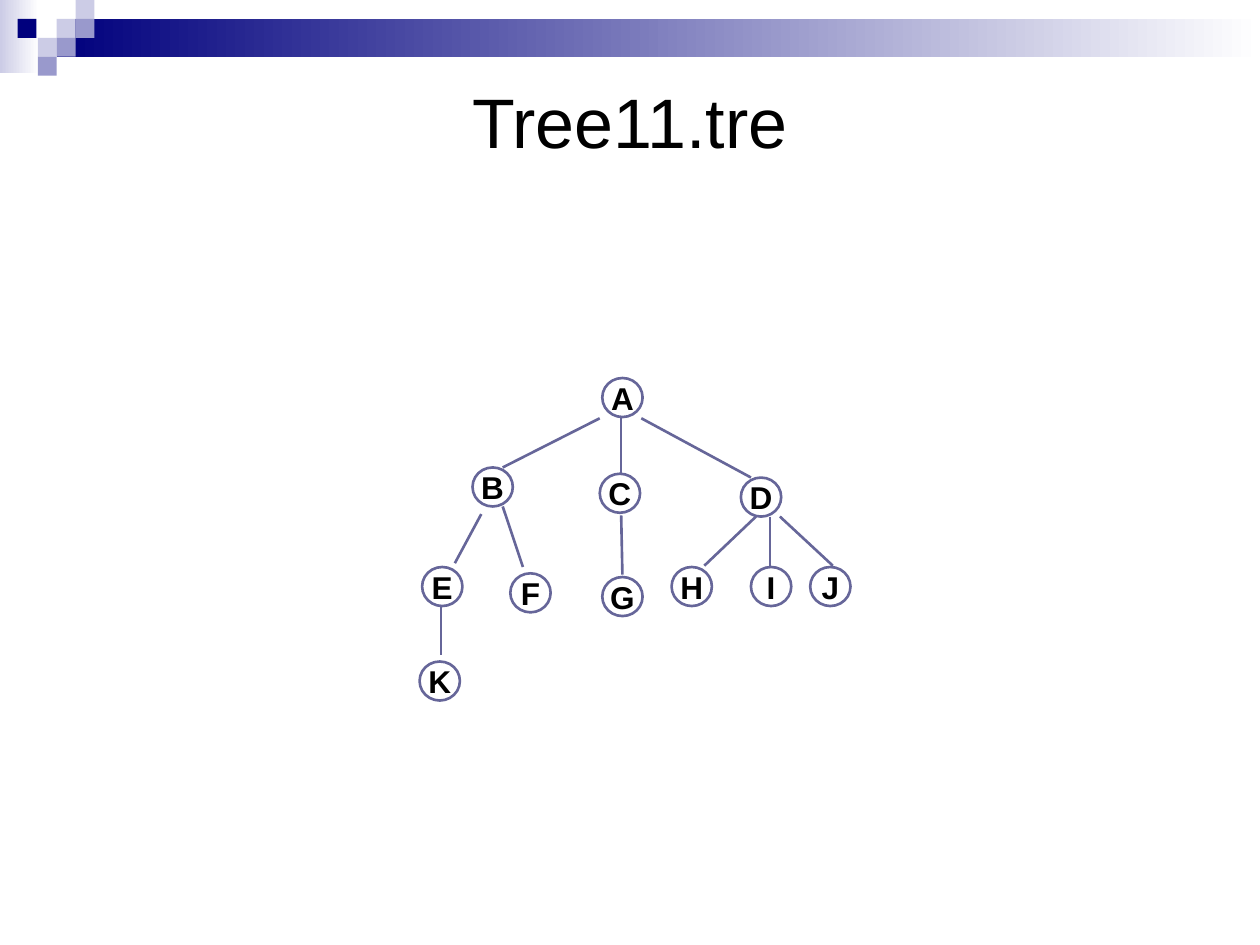
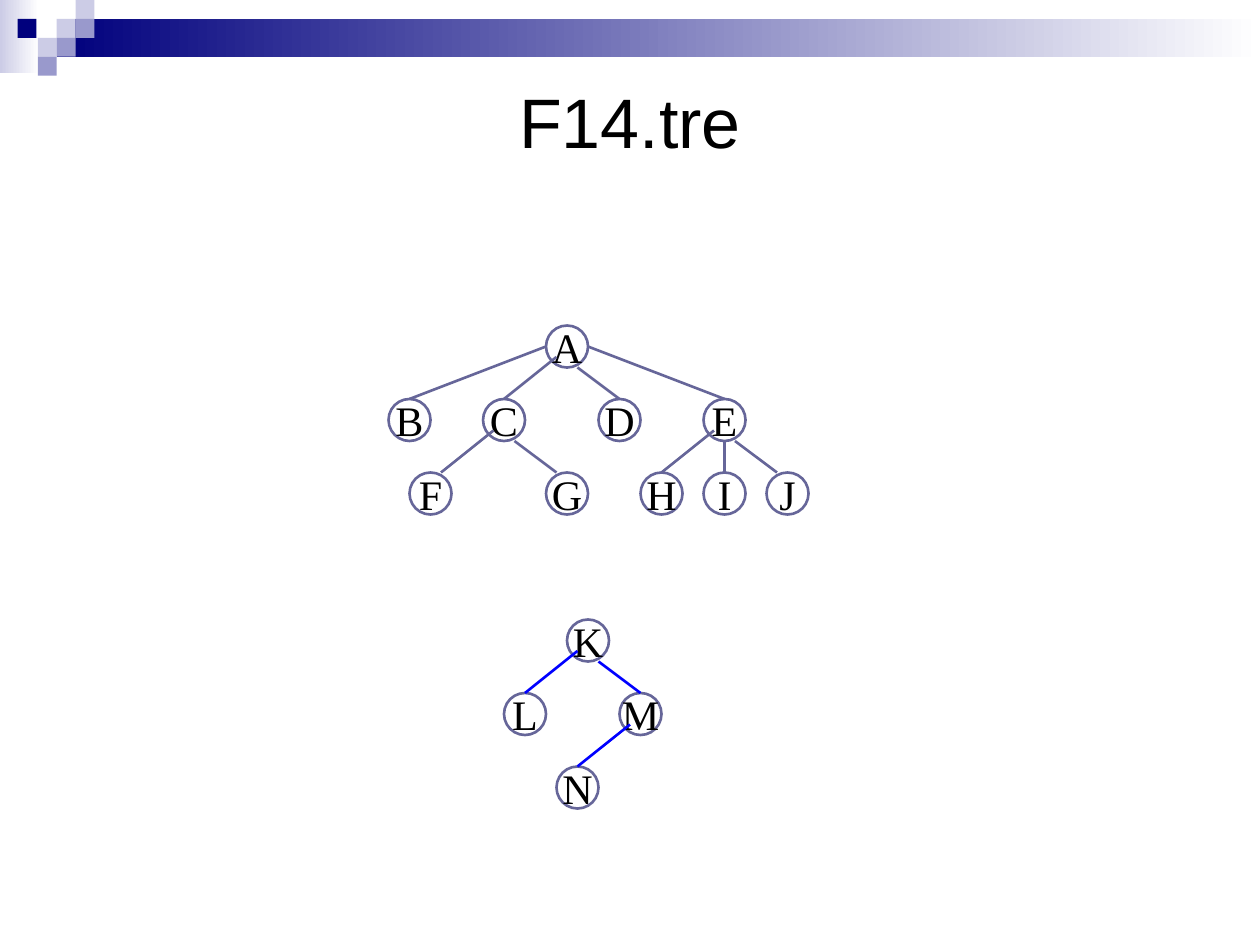
from lxml import etree
from pptx import Presentation
from pptx.dml.color import RGBColor
from pptx.enum import shapes, text
from pptx.oxml.ns import qn
from pptx.util import Inches, Pt

COLORS = {"navy": "00007D", "lilac": "9999CC", "pale": "CCCCE6", "white": "FFFFFF",
          "black": "000000", "outline": "666699", "blue": "0000FF"}
WIDTH, HEIGHT = 10, 7.5
CELL = 0.15
BANDS = [("pale", 0, 0, 0.31, 0.58), ("navy", 3 * CELL, CELL, WIDTH - 3 * CELL, 2 * CELL)]
SQUARES = [("pale", 3, 1), ("pale", 4, 0), ("lilac", 4, 1), ("pale", 2, 2),
           ("navy", 0.93, 1), ("lilac", 3, 2), ("lilac", 2, 3)]

TITLE_FONT = {"name": "Arial", "size": Pt(40), "bold": False}
ARIAL_NODE = {"name": "Arial", "size": Pt(18), "bold": True}
TIMES_NODE = {"name": "Times New Roman", "size": Pt(24), "bold": False}

LEFT_SIDE, RIGHT_SIDE = (0, 2), (4, 2)
LOWER_LEFT, LOWER_RIGHT, BOTTOM = (1, 3), (3, 4), (2, 4)
TOP, TOP_LEFT, TOP_RIGHT = (2, 0), (1, 0), (3, 0)

TREE11 = {
    "unit": 0.01, "size": (32, 31), "font": ARIAL_NODE, "line": "outline", "edges_behind": True,
    "nodes": {"A": (478, 300), "B": (375, 371), "C": (476, 376), "G": (478, 458),
              "F": (405, 455), "E": (335, 450), "H": (533, 450), "I": (596, 450),
              "J": (643, 450), "K": (333, 525), "D": (588, 379)},
    "edges": [("A", "B", (-2, 32), (24, 0)), ("A", "D", (31, 32), (8, 0)),
              ("A", "C", (15, 32), (17, 11)), ("C", "G", (17, 33), (16, -2)),
              ("E", "K", (15, 31), (17, -5)), ("D", "I", (23, 31), (15, -1)),
              ("B", "F", (24, 31), (10, -5)), ("B", "E", (7, 37), (26, -3)),
              ("D", "J", (31, 31), (18, -1)), ("D", "H", (12, 31), (26, -1))],
}
F14_STYLE = {"unit": 1 / 12, "size": (4, 4), "font": TIMES_NODE, "edges_behind": False}
F14_UPPER = {
    **F14_STYLE, "line": "outline",
    "nodes": {"A": (52, 31), "B": (37, 38), "D": (57, 38), "C": (46, 38), "F": (39, 45),
              "E": (67, 38), "G": (52, 45), "H": (61, 45), "I": (67, 45), "J": (73, 45)},
    "edges": [("A", "B", LEFT_SIDE, TOP), ("A", "E", RIGHT_SIDE, TOP),
              ("A", "C", LOWER_LEFT, TOP), ("A", "D", LOWER_RIGHT, TOP),
              ("C", "F", LOWER_LEFT, TOP_RIGHT), ("C", "G", LOWER_RIGHT, TOP_LEFT),
              ("E", "H", LOWER_LEFT, TOP), ("E", "J", LOWER_RIGHT, TOP_LEFT),
              ("E", "I", BOTTOM, TOP)],
}
F14_LOWER = {
    **F14_STYLE, "line": "blue",
    "nodes": {"K": (54, 59), "M": (59, 66), "L": (48, 66), "N": (53, 73)},
    "edges": [("K", "L", LOWER_LEFT, TOP), ("K", "M", LOWER_RIGHT, TOP),
              ("M", "N", LOWER_LEFT, TOP)],
}
SLIDES = [("Tree11.tre", [TREE11]), ("F14.tre", [F14_UPPER, F14_LOWER])]


def rgb(name):
    return RGBColor.from_string(COLORS[name])


def add_block(parent, kind, box, fill):
    sp = parent.add_shape(kind, *map(Inches, box))
    sp.shadow.inherit = False
    sp.fill.solid()
    sp.fill.fore_color.rgb = rgb(fill)
    sp.line.fill.background()
    return sp


def write(sp, words, font, wrap):
    tf = sp.text_frame
    tf.word_wrap = wrap
    tf.vertical_anchor = text.MSO_ANCHOR.MIDDLE
    p = tf.paragraphs[0]
    p.alignment = text.PP_ALIGN.CENTER
    r = p.add_run()
    r.text = words
    for key, value in font.items():
        setattr(r.font, key, value)
    r.font.color.rgb = rgb("black")


def set_line(sp, color):
    sp.line.color.rgb = rgb(color)
    sp.line.width = Pt(1.5)


def add_header(s, title):
    header = s.shapes.add_group_shape().shapes
    for color, *box in BANDS:
        sp = add_block(header, shapes.MSO_SHAPE.RECTANGLE, box, color)
        sp.fill.gradient()
        sp.fill.gradient_angle = 0
        for stop, shade in zip(sp.fill.gradient_stops, (color, "white")):
            stop.color.rgb = rgb(shade)
    for color, col, row in SQUARES:
        box = (col * CELL, row * CELL, CELL, CELL)
        add_block(header, shapes.MSO_SHAPE.RECTANGLE, box, color)
    box = (0.05 * WIDTH, 0.5, 0.9 * WIDTH, 0.92)
    write(s.shapes.add_textbox(*map(Inches, box)), title, TITLE_FONT, True)


def add_nodes(group, tree):
    for name, corner in tree["nodes"].items():
        box = [v * tree["unit"] for v in corner + tree["size"]]
        sp = add_block(group, shapes.MSO_SHAPE.OVAL, box, "white")
        set_line(sp, tree["line"] if tree["line"] != "blue" else "outline")
        write(sp, name, tree["font"], False)


def add_edges(group, tree):
    for parent, child, start, end in tree["edges"]:
        ends = [Inches((corner + offset) * tree["unit"])
                for name, port in ((parent, start), (child, end))
                for corner, offset in zip(tree["nodes"][name], port)]
        line = group.add_connector(shapes.MSO_CONNECTOR.STRAIGHT, *ends)
        set_line(line, tree["line"])
        etree.SubElement(line._element.spPr, qn("a:effectLst"))


def add_tree(s, tree):
    group = s.shapes.add_group_shape().shapes
    steps = [add_nodes, add_edges]
    for step in reversed(steps) if tree["edges_behind"] else steps:
        step(group, tree)


def main():
    prs = Presentation()
    prs.slide_width, prs.slide_height = Inches(WIDTH), Inches(HEIGHT)
    for title, trees in SLIDES:
        s = prs.slides.add_slide(prs.slide_layouts[6])
        add_header(s, title)
        for tree in trees:
            add_tree(s, tree)
    prs.save("out.pptx")


if __name__ == "__main__":
    main()
